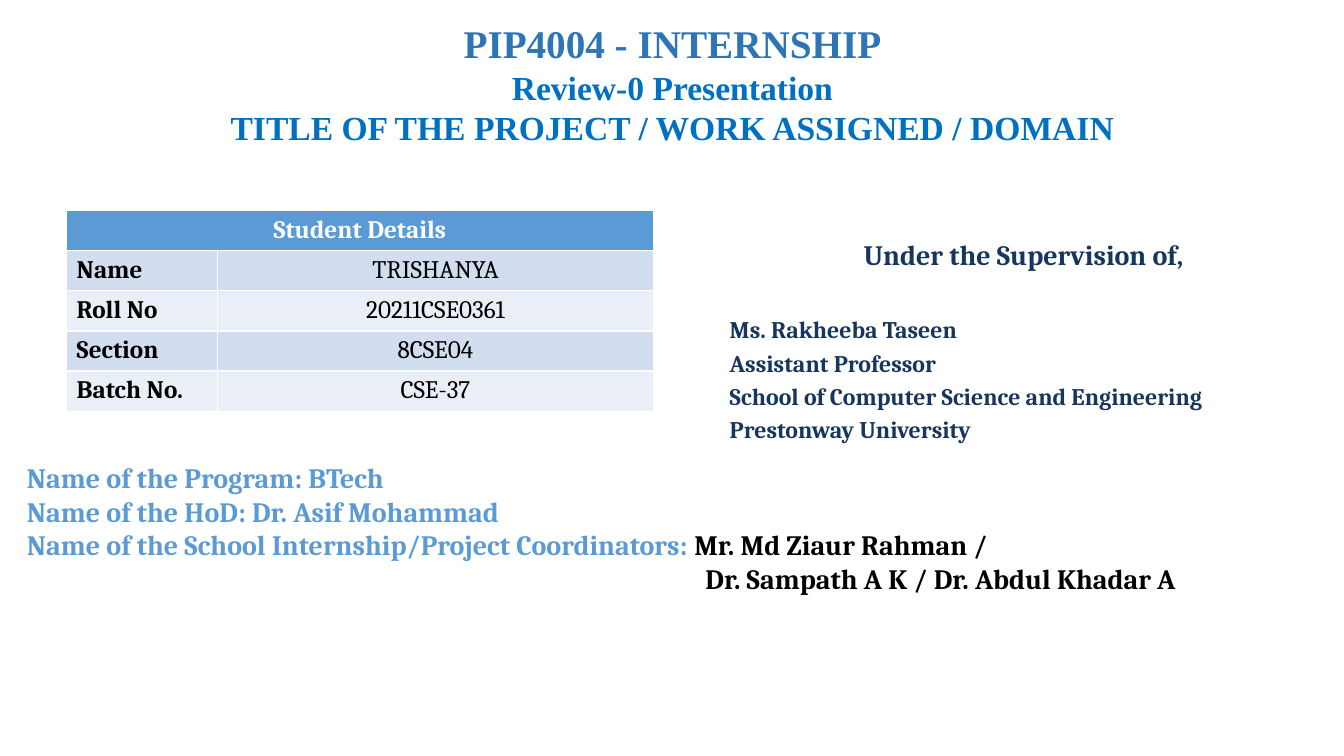
import pptx
import pptx.dml.color
import pptx.enum.text
import pptx.util

Cm = pptx.util.Cm
Pt = pptx.util.Pt
RGBColor = pptx.dml.color.RGBColor
ALIGN = pptx.enum.text.PP_ALIGN
ANCHOR = pptx.enum.text.MSO_ANCHOR

TITLE_BLUE = RGBColor(0x2E, 0x75, 0xB6)
SUBTITLE_BLUE = RGBColor(0x00, 0x70, 0xC0)
NAVY = RGBColor(0x17, 0x36, 0x5D)
ACCENT = RGBColor(0x5B, 0x9B, 0xD5)
BAND_DARK = RGBColor(0xD2, 0xDE, 0xEF)
BAND_LIGHT = RGBColor(0xEA, 0xEF, 0xF7)
BLACK = RGBColor(0x00, 0x00, 0x00)
WHITE = RGBColor(0xFF, 0xFF, 0xFF)

BODY_FONT = "Cambria"
TITLE_FONT = "Times New Roman"

# Title lines: text, size, colour
TITLE = [
    ("PIP4004 - INTERNSHIP", 28, TITLE_BLUE),
    ("Review-0 Presentation", 24, SUBTITLE_BLUE),
    ("TITLE OF THE PROJECT / WORK ASSIGNED / DOMAIN", 24, SUBTITLE_BLUE),
]
TABLE_HEADING = "Student Details"
STUDENT = [
    ("Name", "TRISHANYA"),
    ("Roll No", "20211CSE0361"),
    ("Section", "8CSE04"),
    ("Batch No.", "CSE-37"),
]
SUPERVISION_HEADING = "Under the Supervision of,"
SUPERVISOR = [
    "Ms. Rakheeba Taseen",
    "Assistant Professor",
    "School of Computer Science and Engineering",
    "Prestonway University",
]
# Programme lines: label, names
PROGRAMME = [
    ("Name of the Program: BTech", ""),
    ("Name of the HoD: Dr. Asif Mohammad", ""),
    ("Name of the School Internship/Project Coordinators: ", "Mr. Md Ziaur Rahman /"),
    ("", "Dr. Sampath A K / Dr. Abdul Khadar A"),
]
NAMES_INDENT = Cm(17.1)
COLUMN_WIDTHS = (Cm(3.81), Cm(10.97))
ROW_HEIGHT = Cm(1.01)


def add_run(paragraph, text, size, color, bold=True, font=BODY_FONT):
    run = paragraph.add_run()
    run.text = text
    run.font.name = font
    run.font.size = Pt(size)
    run.font.bold = bold
    run.font.color.rgb = color


def paragraphs_for(text_frame, items):
    """Yield one paragraph of the frame with each item."""
    for index, item in enumerate(items):
        yield text_frame.add_paragraph() if index else text_frame.paragraphs[0], item


def add_text_frame(slide, left, top, width, height):
    text_frame = slide.shapes.add_textbox(left, top, width, height).text_frame
    text_frame.word_wrap = True
    return text_frame


def fill_title(slide):
    title = slide.shapes.title
    title.left, title.top, title.width, title.height = Cm(2.34), Cm(0.36), Cm(29.21), Cm(4.34)
    title.text_frame.vertical_anchor = ANCHOR.TOP
    for paragraph, (text, size, color) in paragraphs_for(title.text_frame, TITLE):
        paragraph.alignment = ALIGN.CENTER
        add_run(paragraph, text, size, color, font=TITLE_FONT)


def fill_cell(cell, text, fill, color, bold, alignment):
    cell.fill.solid()
    cell.fill.fore_color.rgb = fill
    paragraph = cell.text_frame.paragraphs[0]
    paragraph.alignment = alignment
    add_run(paragraph, text, 18, color, bold)


def add_student_table(slide):
    rows = len(STUDENT) + 1
    table = slide.shapes.add_table(
        rows, 2, Cm(1.68), Cm(5.31), sum(COLUMN_WIDTHS), ROW_HEIGHT * rows).table
    for column, width in zip(table.columns, COLUMN_WIDTHS):
        column.width = width
    table.cell(0, 0).merge(table.cell(0, 1))
    fill_cell(table.cell(0, 0), TABLE_HEADING, ACCENT, WHITE, True, ALIGN.CENTER)
    for row, (label, value) in enumerate(STUDENT, start=1):
        band = BAND_DARK if row % 2 else BAND_LIGHT
        fill_cell(table.cell(row, 0), label, band, BLACK, True, ALIGN.LEFT)
        fill_cell(table.cell(row, 1), value, band, BLACK, False, ALIGN.CENTER)


def add_supervision(slide):
    text_frame = add_text_frame(slide, Cm(18.14), Cm(5.87), Cm(15.32), Cm(5.61))
    heading = text_frame.paragraphs[0]
    heading.alignment = ALIGN.CENTER
    add_run(heading, SUPERVISION_HEADING, 20, NAVY)
    for index, line in enumerate(SUPERVISOR):
        paragraph = text_frame.add_paragraph()
        paragraph.space_before = Pt(3.4 if index else 31)
        add_run(paragraph, line, 17, NAVY)


def add_programme(slide):
    text_frame = add_text_frame(slide, Cm(0.43), Cm(11.48), Cm(33.4), Cm(4.34))
    for paragraph, (label, names) in paragraphs_for(text_frame, PROGRAMME):
        if label:
            add_run(paragraph, label, 20, ACCENT)
        else:
            paragraph._p.get_or_add_pPr().set("marL", str(NAMES_INDENT))
        if names:
            add_run(paragraph, names, 20, BLACK)


def main():
    presentation = pptx.Presentation()
    presentation.slide_width = Cm(33.87)
    presentation.slide_height = Cm(19.05)
    slide = presentation.slides.add_slide(presentation.slide_layouts.get_by_name("Title Only"))
    fill_title(slide)
    add_student_table(slide)
    add_supervision(slide)
    add_programme(slide)
    presentation.save("out.pptx")


if __name__ == "__main__":
    main()
